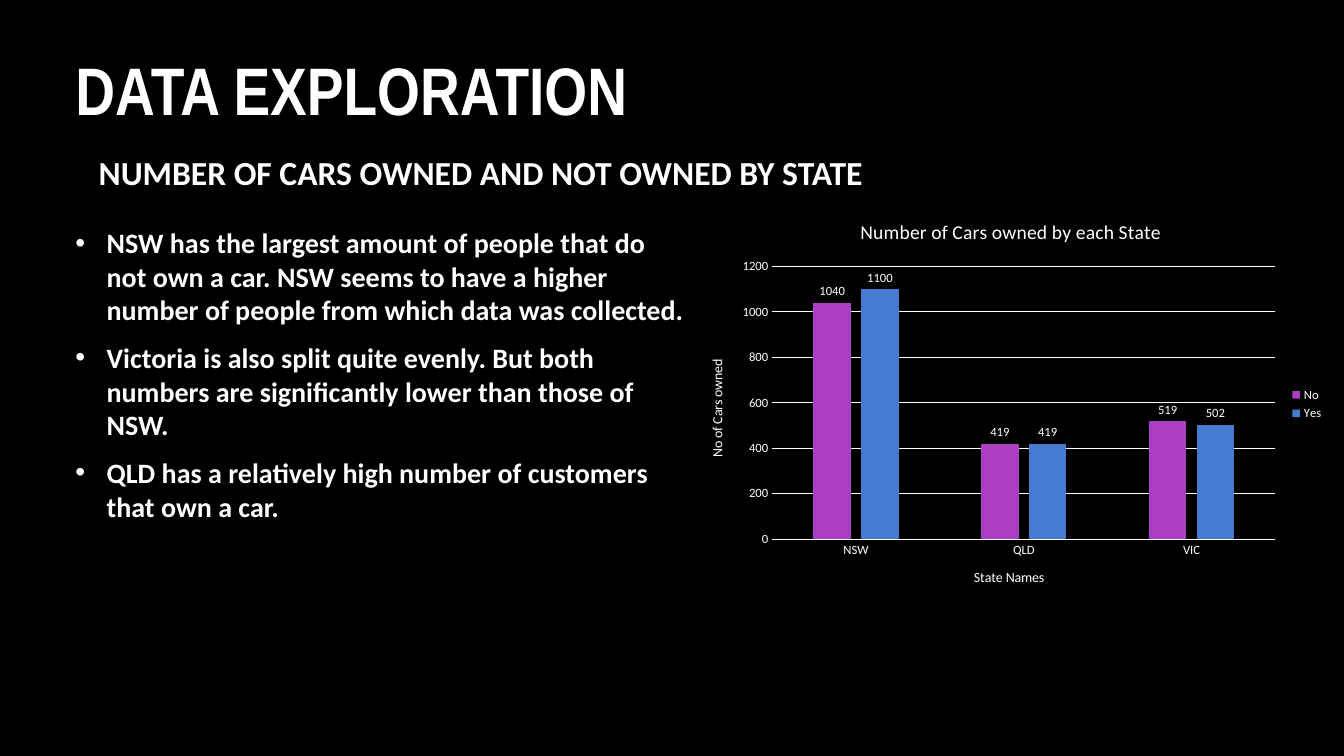
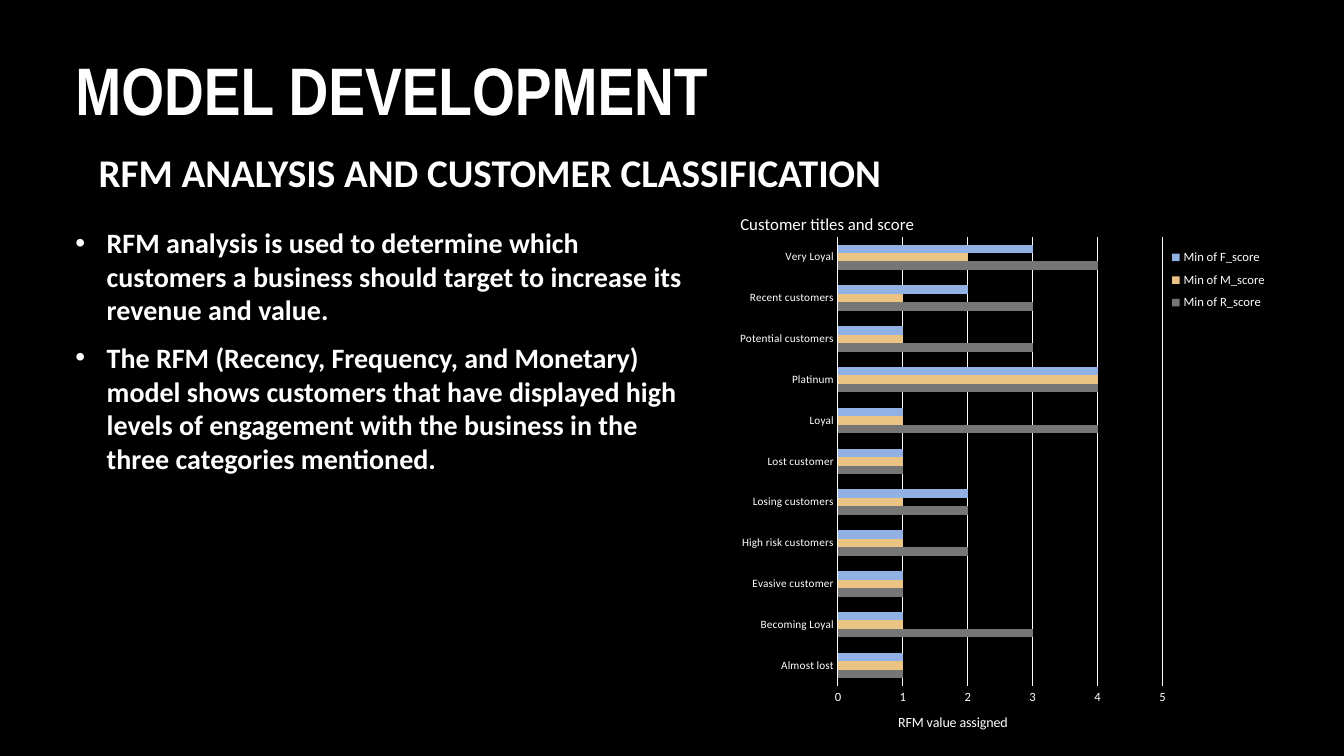
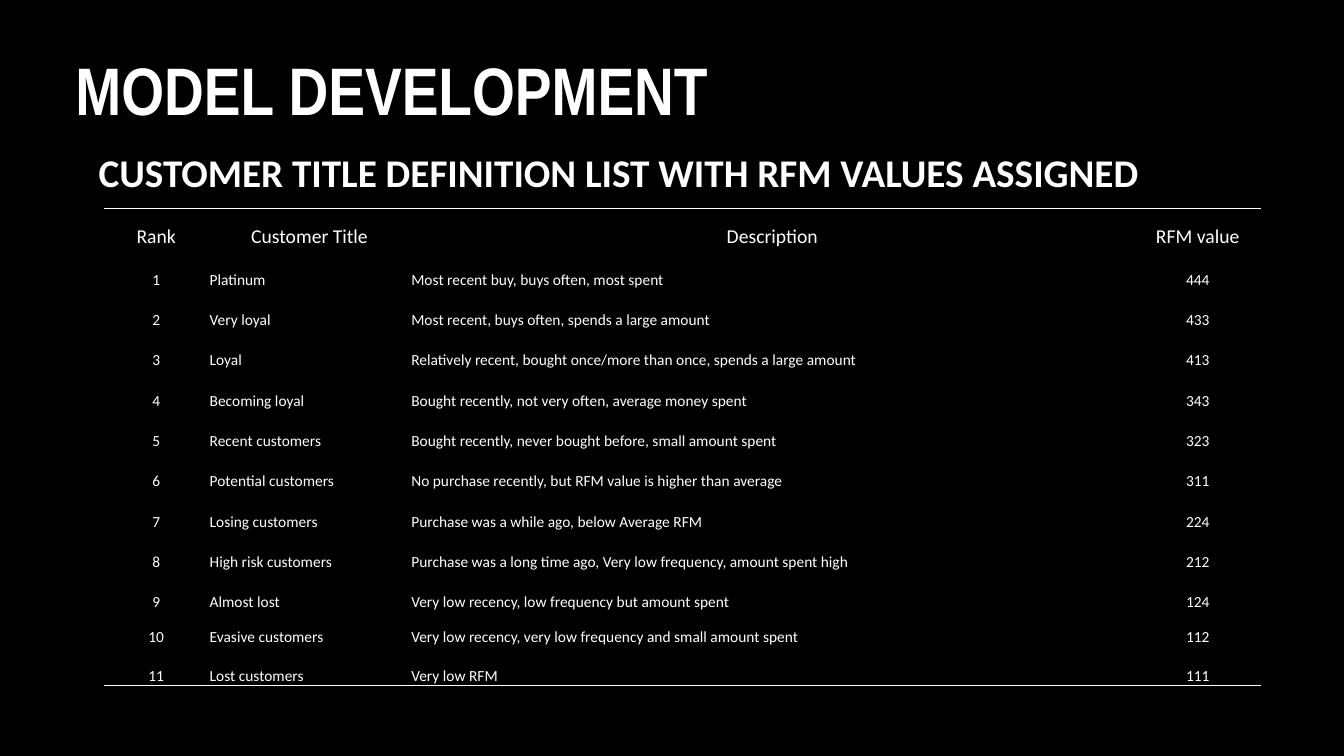
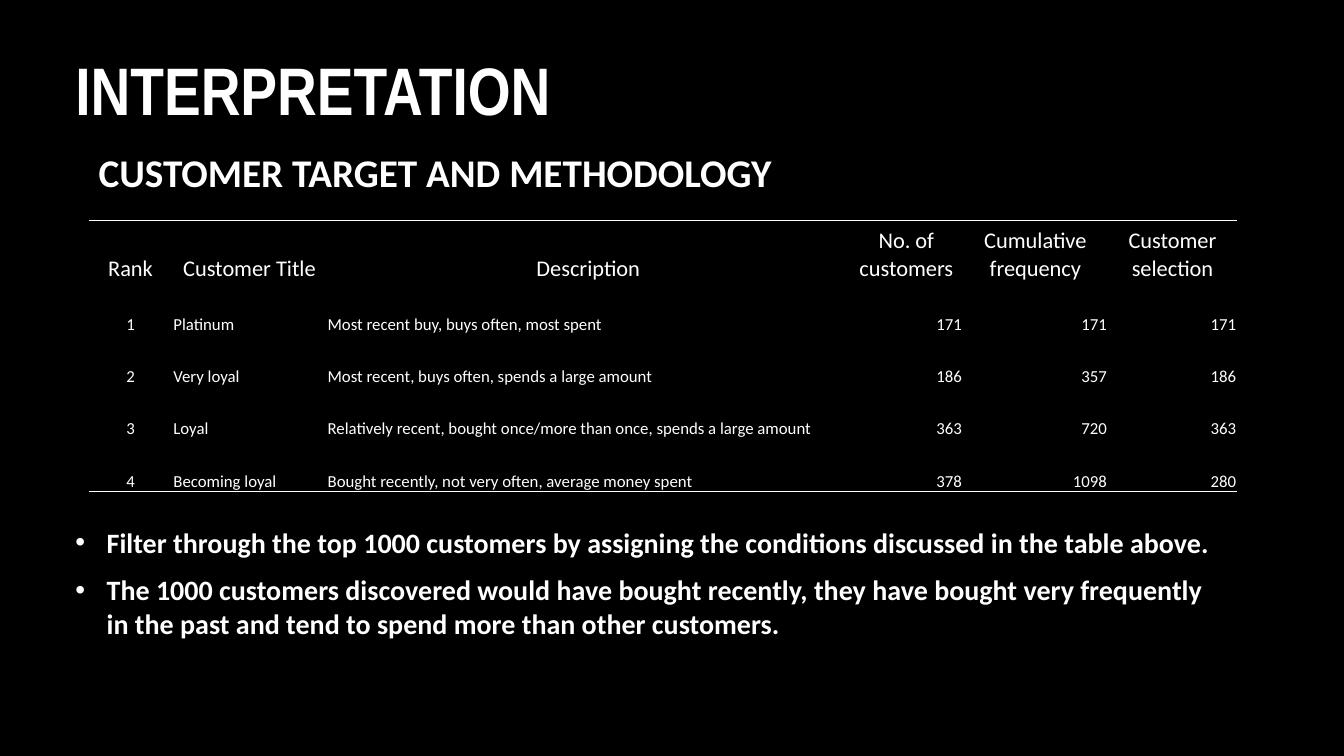
from dataclasses import dataclass
from itertools import accumulate

from lxml.etree import SubElement
from pptx import Presentation
from pptx.chart.data import CategoryChartData as ChartData
from pptx.dml.color import RGBColor
from pptx.enum.chart import XL_CHART_TYPE as Kind
from pptx.enum.chart import XL_LABEL_POSITION as LabelPos
from pptx.enum.chart import XL_LEGEND_POSITION as LegendPos
from pptx.enum.chart import XL_TICK_MARK as Tick
from pptx.enum.text import MSO_ANCHOR as Anchor
from pptx.enum.text import PP_ALIGN as Align
from pptx.oxml import parse_xml
from pptx.oxml.ns import nsdecls, qn
from pptx.util import Inches, Pt

WHITE = RGBColor(0xFF, 0xFF, 0xFF)
BLACK = RGBColor(0x00, 0x00, 0x00)
PURPLE = RGBColor(0xAC, 0x3E, 0xC1)
BLUE = RGBColor(0x47, 0x7B, 0xD1)
GRAY = RGBColor(0x76, 0x76, 0x76)
SAND = RGBColor(0xEB, 0xC4, 0x83)
SKY = RGBColor(0x91, 0xB0, 0xE3)
HEAD, BODY = "Arial Narrow", "Calibri"
PLAIN_GRID = "{2D5ABB26-0587-4C30-8999-92F81FD0307C}"
LEFT, MID, RIGHT = Align.LEFT, Align.CENTER, Align.RIGHT


@dataclass
class Box:
    """A place on a slide, in inches."""
    x: float
    y: float
    w: float
    h: float

    def spans(self) -> tuple:
        """Return the four lengths for python-pptx."""
        return tuple(Inches(n) for n in (self.x, self.y, self.w, self.h))


@dataclass
class Series:
    """One row of bars."""
    name: str
    color: RGBColor
    vals: list


@dataclass
class Graph:
    """A bar or column chart."""
    kind: Kind
    box: Box
    title: str
    size: int
    cats: list
    series: list
    gap: int
    lap: int
    cat_size: int
    val_name: str
    cat_name: str = ""
    labels: bool = False


@dataclass
class Grid:
    """A ruled table with a head row."""
    box: Box
    cols: list
    rows: list
    cells: list
    aligns: list
    head_size: int
    size: int


def style(font, size: float, bold: bool = False, name: str = BODY) -> None:
    """Set a white font."""
    font.size, font.bold, font.name = Pt(size), bold, name
    font.color.rgb = WHITE


def add_text(slide, box: Box, lines: list, size: int, name: str = BODY):
    """Add a bold text box and return its frame."""
    frame = slide.shapes.add_textbox(*box.spans()).text_frame
    frame.word_wrap = True
    frame.text = "\n".join(lines)
    for par in frame.paragraphs:
        style(par.runs[0].font, size, True, name)
    return frame


def add_page(deck, title: str, sub: str, width: float = 8.21, size: int = 28):
    """Add a black slide with its title and subtitle."""
    slide = deck.slides.add_slide(deck.slide_layouts[6])
    slide.background.fill.solid()
    slide.background.fill.fore_color.rgb = BLACK
    frame = add_text(slide, Box(0.65, 0.59, 10.83, 0.8), [title], 48, HEAD)
    frame.paragraphs[0].line_spacing = 0.8
    frame = add_text(slide, Box(0.88, 1.39, width, 0.68), [sub], size)
    frame.vertical_anchor = Anchor.MIDDLE
    frame.paragraphs[0].line_spacing = 0.9
    return slide


def add_points(slide, box: Box, lines: list) -> None:
    """Add a list with white bullets."""
    for par in add_text(slide, box, lines, 20).paragraphs:
        par.space_after = Pt(10)
        props = par._p.get_or_add_pPr()
        props.set("marL", str(Inches(0.31)))
        props.set("indent", str(-Inches(0.31)))
        tint = SubElement(props, qn("a:buClr"))
        SubElement(tint, qn("a:srgbClr")).set("val", str(WHITE))
        SubElement(props, qn("a:buFont")).set("typeface", "Arial")
        SubElement(props, qn("a:buChar")).set("char", "•")


def set_title(part, text: str, size: int) -> None:
    """Give a chart or an axis its title."""
    part.has_title = True
    title = part.chart_title if hasattr(part, "chart_title") else part.axis_title
    title.text_frame.text = text
    style(title.text_frame.paragraphs[0].runs[0].font, size)


def place(node, index: int, inner: bool = False, **spans: float) -> None:
    """Fix a chart part at fractions of the chart."""
    for old in node.findall(qn("c:layout")):
        node.remove(old)
    layout = parse_xml(f"<c:layout {nsdecls('c')}/>")
    manual = SubElement(layout, qn("c:manualLayout"))
    if inner:
        SubElement(manual, qn("c:layoutTarget")).set("val", "inner")
    for mode in ("xMode", "yMode"):
        SubElement(manual, qn(f"c:{mode}")).set("val", "edge")
    for key, val in spans.items():
        SubElement(manual, qn(f"c:{key}")).set("val", str(val))
    node.insert(index, layout)


def add_graph(slide, graph: Graph):
    """Draw a chart and return it."""
    data = ChartData()
    data.categories = graph.cats
    for row in graph.series:
        data.add_series(row.name, row.vals)
    chart = slide.shapes.add_chart(graph.kind, *graph.box.spans(), data).chart
    style(chart.font, 10)
    set_title(chart, graph.title, graph.size)
    chart.has_legend = True
    chart.legend.position = LegendPos.RIGHT
    chart.legend.include_in_layout = False
    style(chart.legend.font, 9)

    cat, val = chart.category_axis, chart.value_axis
    for axis, size, name in ((cat, graph.cat_size, graph.cat_name),
                             (val, 9, graph.val_name)):
        axis.major_tick_mark = axis.minor_tick_mark = Tick.NONE
        style(axis.tick_labels.font, size)
        if name:
            set_title(axis, name, 10)
    val.has_major_gridlines = True
    val.format.line.fill.background()
    for line in (cat.format.line, val.major_gridlines.format.line):
        line.color.rgb = WHITE
        line.width = Pt(0.75)

    plot = chart.plots[0]
    plot.gap_width, plot.overlap = graph.gap, graph.lap
    plot.vary_by_categories = False
    for bars, row in zip(plot.series, graph.series):
        bars.format.fill.solid()
        bars.format.fill.fore_color.rgb = row.color
        if graph.labels:
            tags = bars.data_labels
            tags.show_value = True
            tags.position = LabelPos.OUTSIDE_END
            style(tags.font, 9)
    return chart


def add_rule(cell, side: str) -> None:
    """Rule one side of a cell in white."""
    cell._tc.get_or_add_tcPr().insert(0, parse_xml(
        f'<a:{side} {nsdecls("a")} w="{Pt(1)}"><a:solidFill>'
        f'<a:srgbClr val="{WHITE}"/></a:solidFill></a:{side}>'))


def add_grid(slide, grid: Grid) -> None:
    """Draw a table ruled above and below."""
    count = len(grid.rows)
    table = slide.shapes.add_table(count, len(grid.cols), *grid.box.spans()).table
    table.first_row = table.horz_banding = False
    table._tbl.xpath(".//a:tableStyleId")[0].text = PLAIN_GRID
    for col, width in zip(table.columns, grid.cols):
        col.width = Inches(width)
    for r, height in enumerate(grid.rows):
        table.rows[r].height = Inches(height)
        for c, text in enumerate(grid.cells[r]):
            cell = table.cell(r, c)
            cell.fill.background()
            cell.vertical_anchor = Anchor.BOTTOM
            cell.margin_left = cell.margin_right = cell.margin_top = Inches(0.01)
            cell.margin_bottom = 0
            cell.text = str(text)
            par = cell.text_frame.paragraphs[0]
            par.alignment = grid.aligns[c] if r else MID
            style(par.runs[0].font, grid.size if r else grid.head_size)
            if r == 0:
                add_rule(cell, "lnT")
            if r == count - 1:
                add_rule(cell, "lnB")


RANKS = [
    ("Platinum", "Most recent buy, buys often, most spent", 444),
    ("Very loyal", "Most recent, buys often, spends a large amount", 433),
    ("Loyal", "Relatively recent, bought once/more than once, "
     "spends a large amount", 413),
    ("Becoming loyal", "Bought recently, not very often, average money spent", 343),
    ("Recent customers", "Bought recently, never bought before, "
     "small amount spent", 323),
    ("Potential customers", "No purchase recently, but RFM value is "
     "higher than average", 311),
    ("Losing customers", "Purchase was a while ago, below Average RFM", 224),
    ("High risk customers", "Purchase was a long time ago, Very low frequency, "
     "amount spent high", 212),
    ("Almost lost", "Very low recency, low frequency but amount spent", 124),
    ("Evasive customers", "Very low recency, very low frequency and "
     "small amount spent", 112),
    ("Lost customers", "Very low RFM", 111),
]
HEADS = ["Rank", "Customer Title", "Description"]
COUNTS = [171, 186, 363, 378]
TARGET = 1000


def add_states(deck) -> None:
    """Cars owned by state."""
    slide = add_page(deck, "DATA EXPLORATION",
                     "NUMBER OF CARS OWNED AND NOT OWNED BY STATE", size=24)
    add_points(slide, Box(0.65, 2.19, 6.24, 3.64), [
        "NSW has the largest amount of people that do not own a car. NSW seems "
        "to have a higher number of people from which data was collected.",
        "Victoria is also split quite evenly. But both numbers are "
        "significantly lower than those of NSW.",
        "QLD has a relatively high number of customers that own a car."])
    add_graph(slide, Graph(
        Kind.COLUMN_CLUSTERED, Box(6.82, 2, 6.41, 4.02),
        "Number of Cars owned by each State", 14, ["NSW", "QLD", "VIC"],
        [Series("No", PURPLE, [1040, 419, 519]),
         Series("Yes", BLUE, [1100, 419, 502])],
        gap=219, lap=-27, cat_size=9, val_name="No of Cars owned",
        cat_name="State Names", labels=True))


def add_scores(deck) -> None:
    """Scores by customer class."""
    slide = add_page(deck, "MODEL DEVELOPMENT",
                     "RFM ANALYSIS AND CUSTOMER CLASSIFICATION")
    add_points(slide, Box(0.65, 2.19, 6.35, 3.64), [
        "RFM analysis is used to determine which customers a business should "
        "target to increase its revenue and value.",
        "The RFM (Recency, Frequency, and Monetary) model shows customers that "
        "have displayed high levels of engagement with the business in the "
        "three categories mentioned."])
    chart = add_graph(slide, Graph(
        Kind.BAR_CLUSTERED, Box(7.09, 1.92, 5.55, 5.37),
        "Customer titles and score", 12,
        ["Almost lost", "Becoming Loyal", "Evasive customer",
         "High risk customers", "Losing customers", "Lost customer", "Loyal",
         "Platinum", "Potential customers", "Recent customers", "Very Loyal"],
        [Series("Min of R_score", GRAY, [1, 3, 1, 2, 2, 1, 4, 4, 3, 3, 4]),
         Series("Min of M_score", SAND, [1, 1, 1, 1, 1, 1, 1, 4, 1, 1, 2]),
         Series("Min of F_score", SKY, [1, 1, 1, 1, 2, 1, 1, 4, 1, 2, 3])],
        gap=182, lap=0, cat_size=8, val_name="RFM value assigned"))
    chart.value_axis.major_unit = 1
    chart.value_axis.maximum_scale = 5
    root = chart._chartSpace.find(qn("c:chart"))
    place(root.find(qn("c:title")), 1, x=0.04, y=0.03)
    place(root.find(qn("c:legend")), 1, x=0.81, y=0.09, w=0.18, h=0.14)
    place(root.find(qn("c:plotArea")), 0, True, x=0.22, y=0.08, w=0.58, h=0.83)


def add_titles(deck) -> None:
    """All customer titles with their values."""
    slide = add_page(deck, "MODEL DEVELOPMENT",
                     "CUSTOMER TITLE DEFINITION LIST WITH RFM VALUES ASSIGNED", 10.83)
    cells = [HEADS + ["RFM value"]]
    cells += [(rank, *row) for rank, row in enumerate(RANKS, 1)]
    add_grid(slide, Grid(
        Box(1.03, 2.07, 11.48, 4.73), [1.04, 2, 7.18, 1.26],
        [0.4] * 10 + [0.35, 0.38], cells, [MID, LEFT, LEFT, MID], 14, 11))


def add_target(deck) -> None:
    """The customers to target."""
    slide = add_page(deck, "INTERPRETATION", "CUSTOMER TARGET AND METHODOLOGY", 9.88)
    add_points(slide, Box(0.65, 5.16, 11.62, 1.24), [
        "Filter through the top 1000 customers by assigning the conditions "
        "discussed in the table above.",
        "The 1000 customers discovered would have bought recently, they have "
        "bought very frequently in the past and tend to spend more than other "
        "customers."])
    cells = [HEADS + ["No. of customers", "Cumulative frequency",
                      "Customer selection"]]
    rows = zip(RANKS, COUNTS, accumulate(COUNTS))
    for rank, ((name, note, _), count, total) in enumerate(rows, 1):
        pick = min(count, TARGET - total + count)
        cells.append([rank, name, note, count, total, pick])
    add_grid(slide, Grid(
        Box(0.88, 2.19, 11.39, 2.71), [0.83, 1.53, 5.19, 1.12, 1.44, 1.28],
        [0.61] + [0.52] * 4, cells, [MID, LEFT, LEFT] + [RIGHT] * 3, 16, 12))


def main() -> None:
    """Build and save the deck."""
    deck = Presentation()
    deck.slide_width, deck.slide_height = Inches(13.33), Inches(7.5)
    for add in (add_states, add_scores, add_titles, add_target):
        add(deck)
    deck.save("out.pptx")


main()
